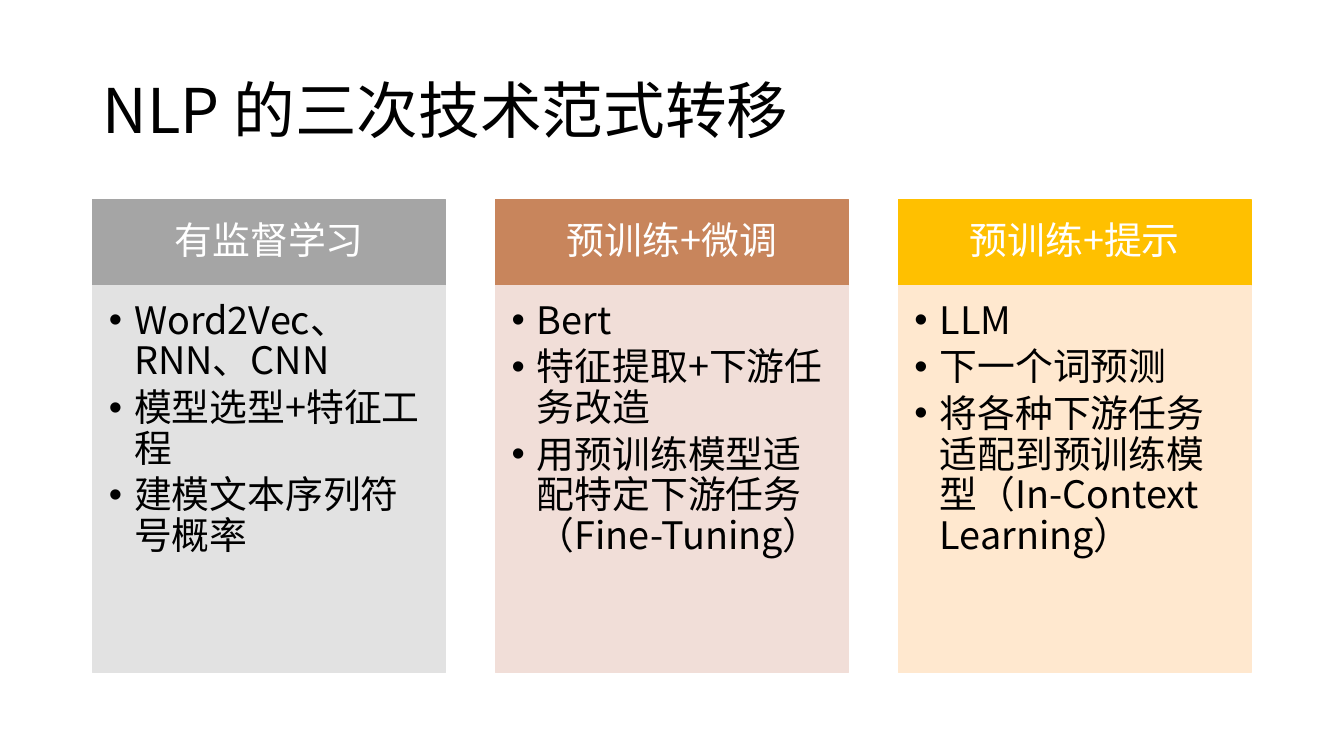
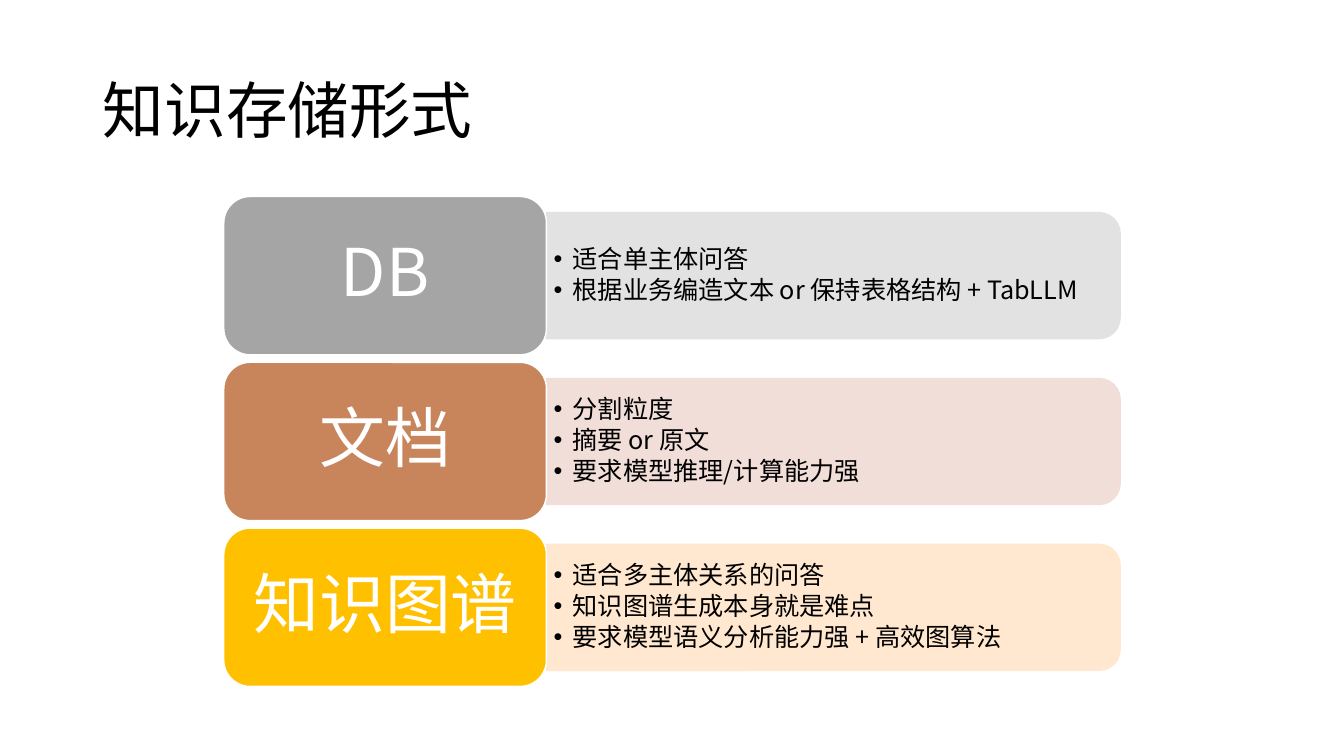
from pptx import Presentation
from pptx.dml.color import RGBColor
from pptx.enum.shapes import MSO_SHAPE as SHAPE
from pptx.enum.text import MSO_ANCHOR as ANCHOR, MSO_AUTO_SIZE as AUTO, PP_ALIGN as ALIGN
from pptx.oxml.ns import qn
from pptx.util import Inches, Pt
from lxml.etree import SubElement

FONT = "Noto Sans CJK SC"
BLACK, WHITE = "000000", "FFFFFF"
THEMES = [("A5A5A5", "E2E2E2"), ("C8855C", "F1DED8"), ("FFC000", "FFE8CF")]
TITLE_ONLY = 5

PARADIGMS = [
    ("有监督学习", ["Word2Vec、RNN、CNN", "模型选型+特征工程", "建模文本序列符号概率"]),
    ("预训练+微调", ["Bert", "特征提取+下游任务改造",
                "用预训练模型适配特定下游任务（Fine-Tuning）"]),
    ("预训练+提示", ["LLM", "下一个词预测",
                "将各种下游任务适配到预训练模型（In-Context Learning）"]),
]
STORES = [
    ("DB", ["适合单主体问答", "根据业务编造文本 or 保持表格结构 + TabLLM"]),
    ("文档", ["分割粒度", "摘要 or 原文", "要求模型推理/计算能力强"]),
    ("知识图谱", ["适合多主体关系的问答", "知识图谱生成本身就是难点",
              "要求模型语义分析能力强 + 高效图算法"]),
]


def rgb(color):
    return RGBColor.from_string(color)


def spread(first, last, count):
    return [first + i * (last - first) / (count - 1) for i in range(count)]


def set_frame(tf, insets, anchor):
    left, top, right, bottom = map(Inches, insets)
    values = {"margin_left": left, "margin_top": top, "margin_right": right,
              "margin_bottom": bottom, "vertical_anchor": anchor,
              "word_wrap": True, "auto_size": AUTO.NONE}
    for name, value in values.items():
        setattr(tf, name, value)


def add_bullet(p, indent):
    pPr = p._p.get_or_add_pPr()
    pPr.set("marL", str(Inches(indent)))
    pPr.set("indent", str(-Inches(indent)))
    SubElement(pPr, qn("a:buFont"), typeface="Arial")
    SubElement(pPr, qn("a:buChar"), char="•")


def write(tf, lines, size, color, align=ALIGN.LEFT, after=0, indent=None):
    for i, line in enumerate(lines):
        p = tf.paragraphs[0] if i == 0 else tf.add_paragraph()
        if indent:
            add_bullet(p, indent)
        values = {"alignment": align, "line_spacing": 0.9,
                  "space_before": Pt(0), "space_after": Pt(size * after)}
        for name, value in values.items():
            setattr(p, name, value)
        r = p.add_run()
        r.text = line
        r.font.size, r.font.name = Pt(size), FONT
        r.font.color.rgb = rgb(color)
        SubElement(r._r.get_or_add_rPr(), qn("a:ea"), typeface=FONT)


def write_label(sp, text, size, insets):
    set_frame(sp.text_frame, insets, ANCHOR.MIDDLE)
    write(sp.text_frame, [text], size, WHITE, ALIGN.CENTER, 0.35)


def write_bullets(sp, lines, size, insets, anchor, indent):
    set_frame(sp.text_frame, insets, anchor)
    write(sp.text_frame, lines, size, BLACK, after=0.15, indent=indent)


def add_panel(slide, kind, box, fill, line):
    sp = slide.shapes.add_shape(kind, *map(Inches, box))
    sp.shadow.inherit = False
    sp.fill.solid()
    sp.fill.fore_color.rgb = rgb(fill)
    sp.line.color.rgb = rgb(line)
    sp.line.width = Pt(1)
    return sp


def add_slide(prs, title):
    slide = prs.slides.add_slide(prs.slide_layouts[TITLE_ONLY])
    sp = slide.shapes.title
    box = {"left": 0.92, "top": 0.4, "width": 11.5, "height": 1.45}
    for name, value in box.items():
        setattr(sp, name, Inches(value))
    set_frame(sp.text_frame, (0.1, 0.05, 0.1, 0.05), ANCHOR.MIDDLE)
    write(sp.text_frame, [title], 44, BLACK)
    return slide


def add_column(slide, left, theme, heading, lines):
    dark, light = theme
    top, width, head_height, body_height = 1.98, 3.5, 0.85, 3.84
    head = add_panel(slide, SHAPE.RECTANGLE, (left, top, width, head_height), dark, dark)
    write_label(head, heading, 27, (0.21, 0.12, 0.21, 0.12))
    body = add_panel(slide, SHAPE.RECTANGLE,
                     (left, top + head_height, width, body_height), light, light)
    write_bullets(body, lines, 27, (0.16, 0.16, 0.21, 0.24), ANCHOR.TOP, 0.25)


def add_row(slide, top, theme, heading, lines):
    dark, light = theme
    left, width, height = 2.22, 3.2, 1.57
    band_left, band_width, band_height = left + width, 5.69, 1.25
    text_width, text_height = 5.63, 1.13
    middle = top + height / 2
    band = add_panel(slide, SHAPE.ROUND_2_SAME_RECTANGLE,
                     (band_left + (band_width - band_height) / 2,
                      middle - band_width / 2, band_height, band_width), light, light)
    band.rotation = 90
    text = slide.shapes.add_textbox(*map(Inches, (
        band_left, middle - text_height / 2, text_width, text_height)))
    write_bullets(text, lines, 18, (0.07, 0.04, 0.07, 0.04), ANCHOR.MIDDLE, 0.19)
    label = add_panel(slide, SHAPE.ROUNDED_RECTANGLE, (left, top, width, height), dark, WHITE)
    write_label(label, heading, 47, (0.2, 0.1, 0.2, 0.1))


def main():
    prs = Presentation()
    prs.slide_width, prs.slide_height = Inches(13.33), Inches(7.5)

    slide = add_slide(prs, "NLP 的三次技术范式转移")
    for left, theme, paradigm in zip(spread(0.92, 8.91, 3), THEMES, PARADIGMS):
        add_column(slide, left, theme, *paradigm)

    slide = add_slide(prs, "知识存储形式")
    for top, theme, store in zip(spread(1.95, 5.24, 3), THEMES, STORES):
        add_row(slide, top, theme, *store)

    prs.save("out.pptx")


if __name__ == "__main__":
    main()
